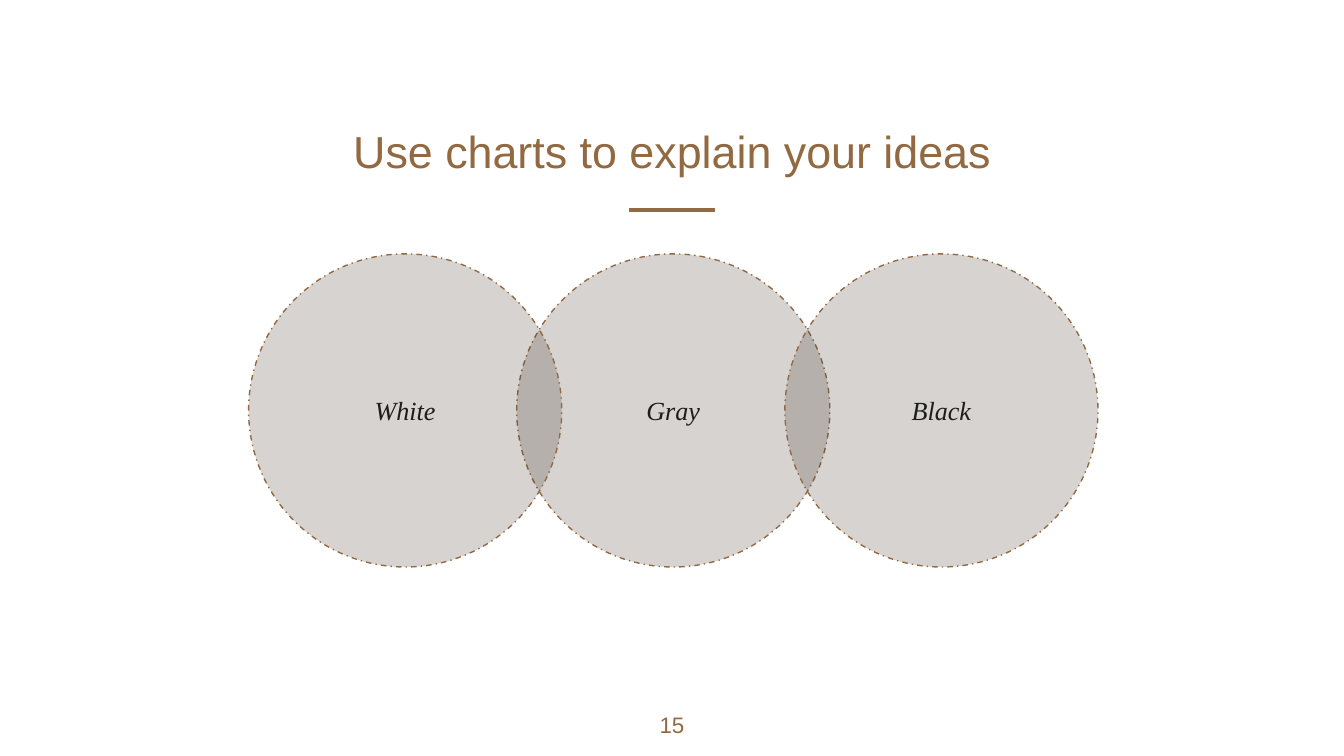
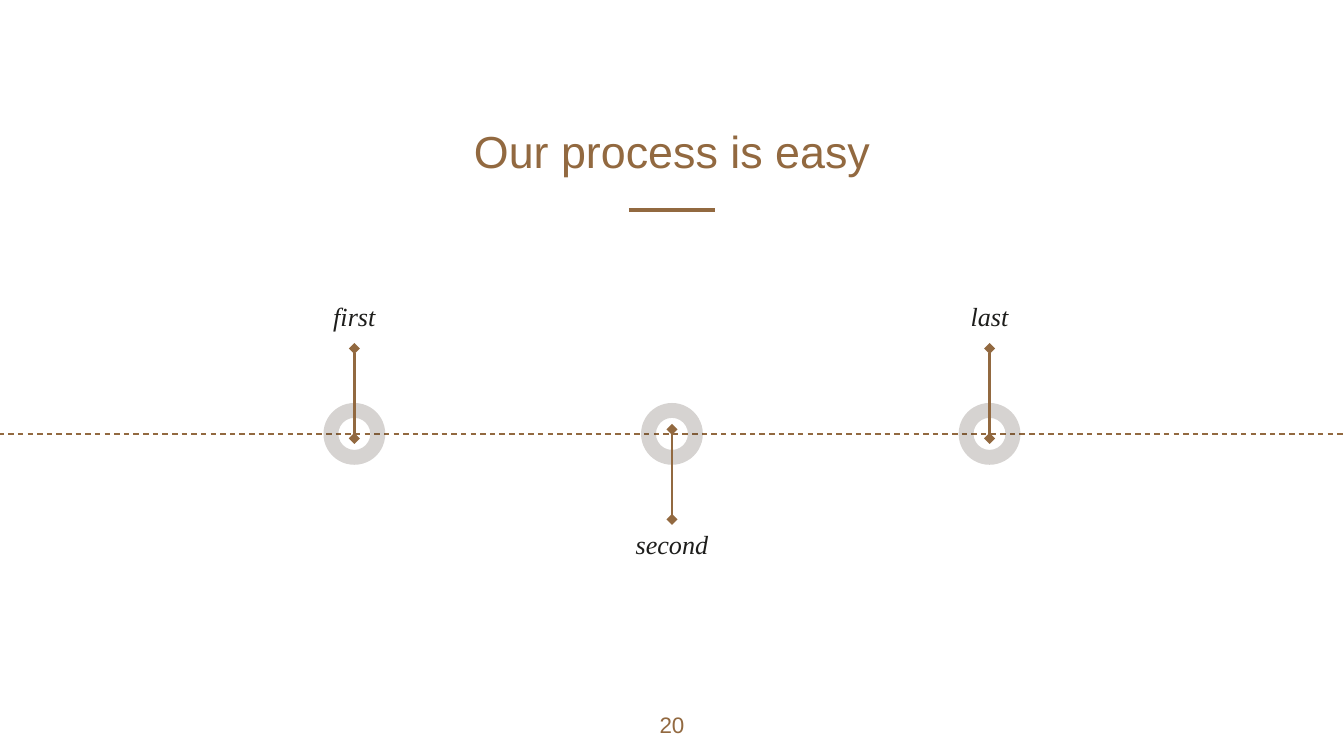
from pptx import Presentation
from pptx.dml.color import RGBColor
from pptx.enum.dml import MSO_LINE_DASH_STYLE as DASH
from pptx.enum.shapes import MSO_CONNECTOR, MSO_SHAPE as SHAPE
from pptx.enum.text import MSO_ANCHOR as ANCHOR, PP_ALIGN
from pptx.oxml.ns import qn
from pptx.util import Inches, Pt
from lxml.etree import SubElement

WIDTH, HEIGHT = Inches(10), Inches(5.625)
BROWN, UMBER, INK = "926940", "403228", "1D1D1B"
SANS, SERIF = "Arial", "Times New Roman"
CENTRE = 50


def rgb(value):
    """Turn a hex string into a colour."""
    return RGBColor.from_string(value)


def across(share):
    """Convert a percentage of the slide width to a length."""
    return round(WIDTH * share / 100)


def down(share):
    """Convert a percentage of the slide height to a length."""
    return round(HEIGHT * share / 100)


def write(s, text, size, font, color, anchor=ANCHOR.TOP, italic=False):
    """Put one centred paragraph into a shape."""
    tf = s.text_frame
    tf.word_wrap = True
    tf.vertical_anchor = anchor
    tf.margin_left = tf.margin_right = Inches(0.1)
    tf.margin_top = tf.margin_bottom = Inches(0.1)
    p = tf.paragraphs[0]
    p.text = text
    p.alignment = PP_ALIGN.CENTER
    p.font.size, p.font.name, p.font.italic = Pt(size), font, italic
    p.font.color.rgb = rgb(color)


def add_text(slide, cx, top, width, height, *style, **options):
    """Add a text box centred on cx."""
    s = slide.shapes.add_textbox(across(cx - width / 2), down(top), across(width), down(height))
    write(s, *style, **options)


def add_line(slide, x1, y1, x2, y2, weight, dash=None, diamonds=False):
    """Add a brown line, optionally dashed or with diamond ends."""
    s = slide.shapes.add_connector(
        MSO_CONNECTOR.STRAIGHT, across(x1), down(y1), across(x2), down(y2))
    s.line.color.rgb = rgb(BROWN)
    s.line.width = Pt(weight)
    if dash:
        s.line.dash_style = dash
    props = s._element.spPr
    if diamonds:
        for end in ("a:headEnd", "a:tailEnd"):
            SubElement(props.find(qn("a:ln")), qn(end), type="diamond")
    SubElement(props, qn("a:effectLst"))


def add_round(slide, kind, cx, cy, diameter):
    """Add a translucent round shape by its centre and diameter."""
    size = across(diameter)
    s = slide.shapes.add_shape(kind, across(cx) - size // 2, down(cy) - size // 2, size, size)
    s.shadow.inherit = False
    s.fill.solid()
    s.fill.fore_color.rgb = rgb(UMBER)
    color = s._element.spPr.find(qn("a:solidFill"))[0]
    SubElement(color, qn("a:alpha"), val="21000")
    s.line.fill.background()
    return s


def add_slide(prs, title, number):
    """Add a slide with its title, rule and page number."""
    slide = prs.slides.add_slide(prs.slide_layouts[6])
    add_line(slide, 46.8, 27.75, 53.2, 27.75, 2.25)
    add_text(slide, CENTRE, 8.5, 58.7, 16.7, title, 24, SANS, BROWN, anchor=ANCHOR.BOTTOM)
    add_text(slide, CENTRE, 92.3, 6, 7.7, str(number), 12, SANS, BROWN)
    return slide


def add_venn(slide, names, pitch=19.95, diameter=23.3):
    """Add a row of overlapping labelled circles, the middle one at the back."""
    middle = len(names) // 2
    for i in sorted(range(len(names)), key=lambda i: i != middle):
        s = add_round(slide, SHAPE.OVAL, CENTRE + 0.1 + (i - middle) * pitch, 54.3, diameter)
        s.line.color.rgb = rgb(BROWN)
        s.line.width = Pt(0.75)
        s.line.dash_style = DASH.DASH_DOT
        write(s, names[i], 14, SERIF, INK, anchor=ANCHOR.MIDDLE, italic=True)


def add_timeline(slide, steps, axis=57.4, pitch=23.63):
    """Add a dashed axis with rings whose labels alternate above and below."""
    add_line(slide, -0.1, axis, 100.1, axis, 0.75, dash=DASH.DASH)
    for i, name in enumerate(steps):
        cx = CENTRE + (i - len(steps) // 2) * pitch
        side = 1 if i % 2 else -1
        tip = axis + side * 11.3
        ring = add_round(slide, SHAPE.DONUT, cx, axis, 4.6)
        ring.adjustments[0] = 0.241
        add_line(slide, cx, axis - side * 0.6, cx, tip, 1.5, diamonds=True)
        top = tip - (0.6 if side > 0 else 8.2)
        add_text(slide, cx, top, 13.6, 8, name, 14, SERIF, INK, italic=True)


def main():
    """Build and save the presentation."""
    prs = Presentation()
    prs.slide_width, prs.slide_height = WIDTH, HEIGHT
    add_venn(add_slide(prs, "Use charts to explain your ideas", 15), ["White", "Gray", "Black"])
    add_timeline(add_slide(prs, "Our process is easy", 20), ["first", "second", "last"])
    prs.save("out.pptx")


if __name__ == "__main__":
    main()
